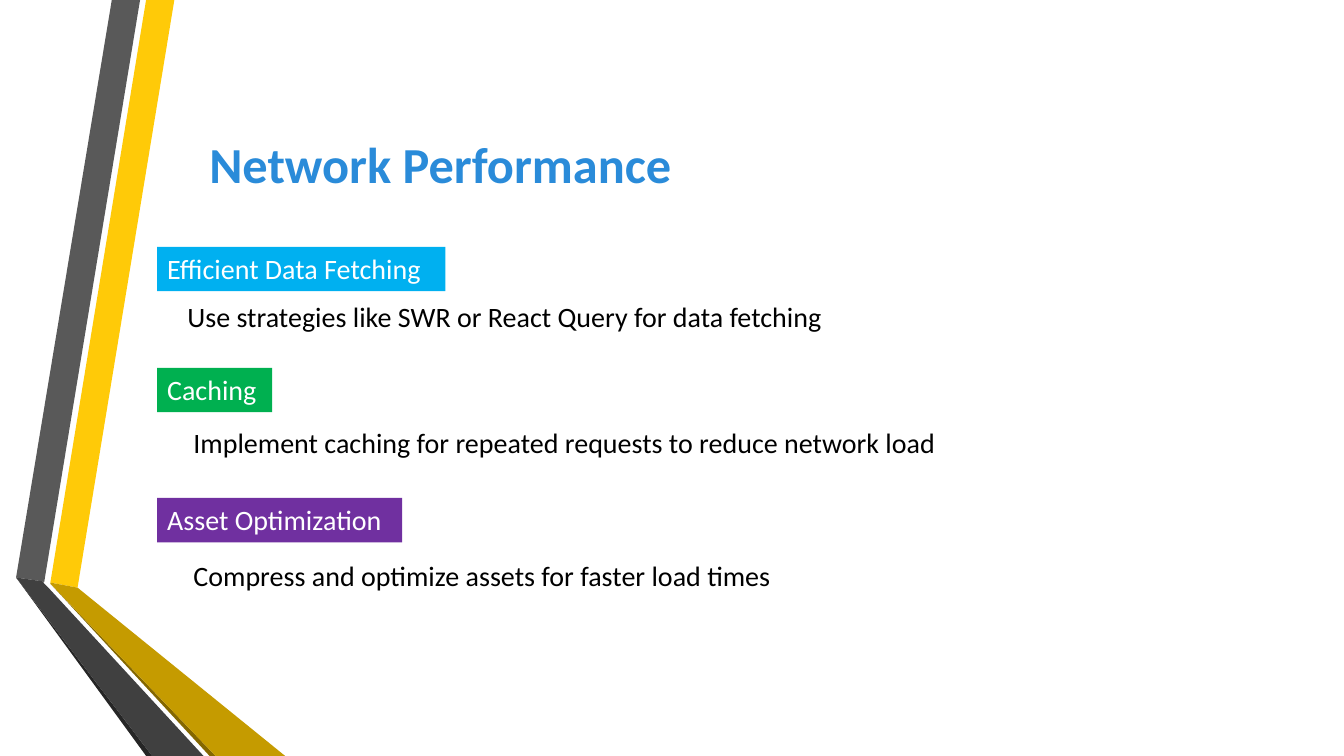
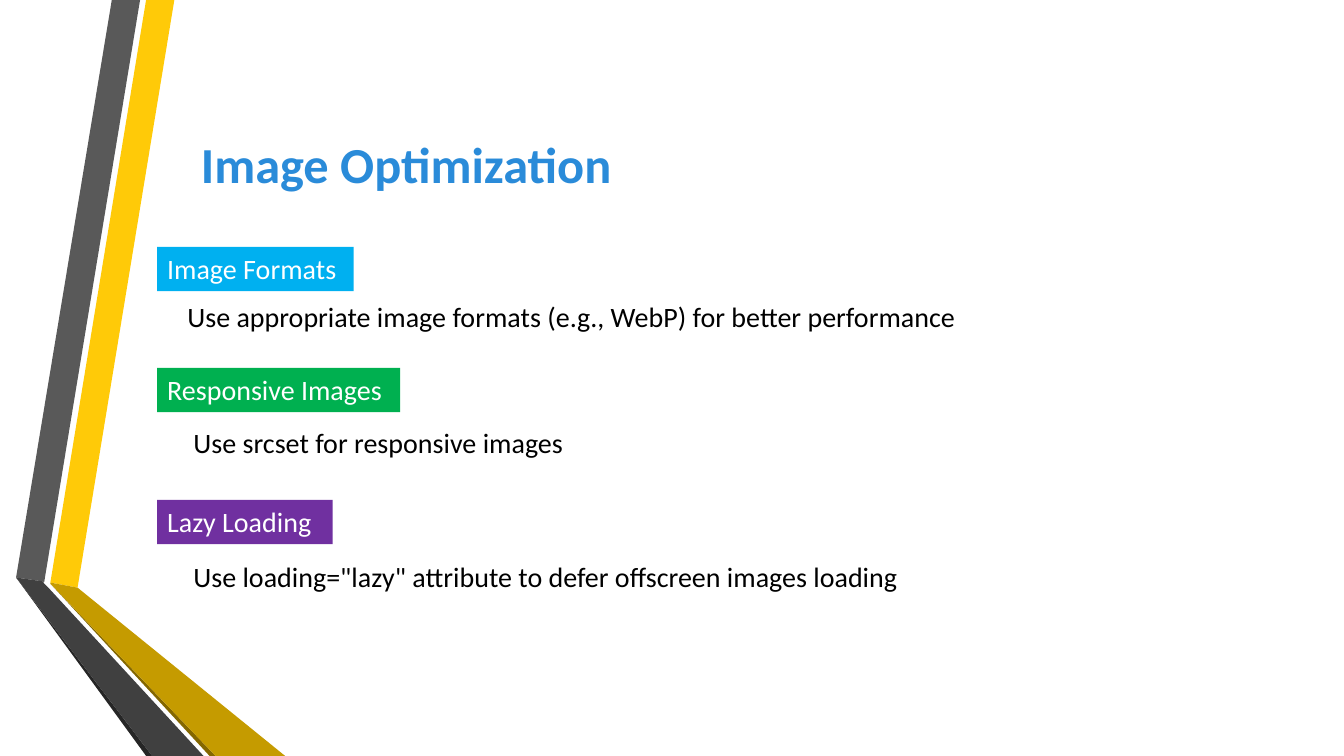
from dataclasses import dataclass
from pptx import Presentation
from pptx.dml.color import RGBColor as Rgb
from pptx.enum.shapes import MSO_SHAPE as Kind
from pptx.enum.text import MSO_ANCHOR as Anchor, PP_ALIGN as Align
from pptx.util import Emu, Pt


@dataclass(frozen=True)
class Theme:
    font: str = "Calibri"
    head: str = "2A8BD9"
    ink: str = "000000"
    paper: str = "FFFFFF"
    tags: tuple = ("00B0F0", "00B050", "7030A0")
    big: int = 36
    text: int = 20


theme = Theme()
COLS, ROWS = 80, 45
deck = Presentation()
deck.slide_width, deck.slide_height = Emu(12192000), Emu(6858000)
CELL = deck.slide_width / COLS


def grid(*cells):
    return [Emu(round(n * CELL)) for n in cells]


def write(shape, text, color, size=theme.text):
    frame = shape.text_frame
    frame.word_wrap = True
    frame.vertical_anchor = Anchor.TOP
    para = frame.paragraphs[0]
    para.text = text
    para.alignment = Align.LEFT
    font = para.font
    font.name, font.size = theme.font, Pt(size)
    font.color.rgb = Rgb.from_string(color)
    return para


BANDS = [
    ("FFCA08", [(3, 34.68), (4.62, 34.98), (10.38, 0), (8.7, 0)]),
    ("595959", [(8.34, 0), (6.66, 0), (0.96, 34.38), (2.64, 34.62)]),
    ("262626", [(0.96, 34.38), (8.7, ROWS), (9.06, ROWS)]),
    ("846700", [(3, 34.74), (12.48, ROWS), (12.84, ROWS)]),
    ("C59B00", [(3, 34.74), (12.84, ROWS), (16.98, ROWS), (4.62, 34.98), (3, 34.68)]),
    ("404040", [(12.12, ROWS), (2.88, 34.98), (2.58, 34.68), (2.64, 34.62),
                (0.96, 34.38), (9.06, ROWS)]),
]
LEFT, TALL = 9.36, 2.64
INDENTS = (10.56, 10.92, 10.92)
SLIDES = [
    ("Network Performance", 32.16, [
        ("Efficient Data Fetching", 14.7, 17.16,
         "Use strategies like SWR or React Query for data fetching", 17.52),
        ("Caching", 21.9, 6.84,
         "Implement caching for repeated requests to reduce network load", 25.02),
        ("Asset Optimization", 29.64, 14.58,
         "Compress and optimize assets for faster load times", 32.94),
    ]),
    ("Image Optimization", 28.08, [
        ("Image Formats", 14.7, 11.7,
         "Use appropriate image formats (e.g., WebP) for better performance", 17.52),
        ("Responsive Images", 21.9, 14.46,
         "Use srcset for responsive images", 25.02),
        ("Lazy Loading", 29.76, 10.44,
         'Use loading="lazy" attribute to defer offscreen images loading', 33),
    ]),
]

for title, wide, items in SLIDES:
    slide = deck.slides.add_slide(deck.slide_layouts[6])
    shapes = slide.shapes
    bands = shapes.add_group_shape().shapes
    for color, points in BANDS:
        start, *rest = [grid(*point) for point in points]
        path = bands.build_freeform(*start)
        path.add_line_segments(rest, close=True)
        band = path.convert_to_shape()
        band.shadow.inherit = False
        band.fill.solid()
        band.fill.fore_color.rgb = Rgb.from_string(color)
        band.line.fill.background()

    head = shapes.add_textbox(*grid(10.14, 7.38, wide, 4.68))
    para = write(head, title, theme.head, theme.big)
    para.alignment = Align.CENTER
    para.font.bold = True
    head.text_frame.vertical_anchor = Anchor.MIDDLE

    for (label, top, wide, note, low), color, indent in zip(items, theme.tags, INDENTS):
        tag = shapes.add_shape(Kind.RECTANGLE, *grid(LEFT, top, wide, TALL))
        tag.shadow.inherit = False
        tag.fill.solid()
        tag.fill.fore_color.rgb = Rgb.from_string(color)
        tag.line.fill.background()
        write(tag, label, theme.paper)
        body = shapes.add_textbox(*grid(indent, low, 50, TALL))
        write(body, note, theme.ink)

deck.save("out.pptx")
